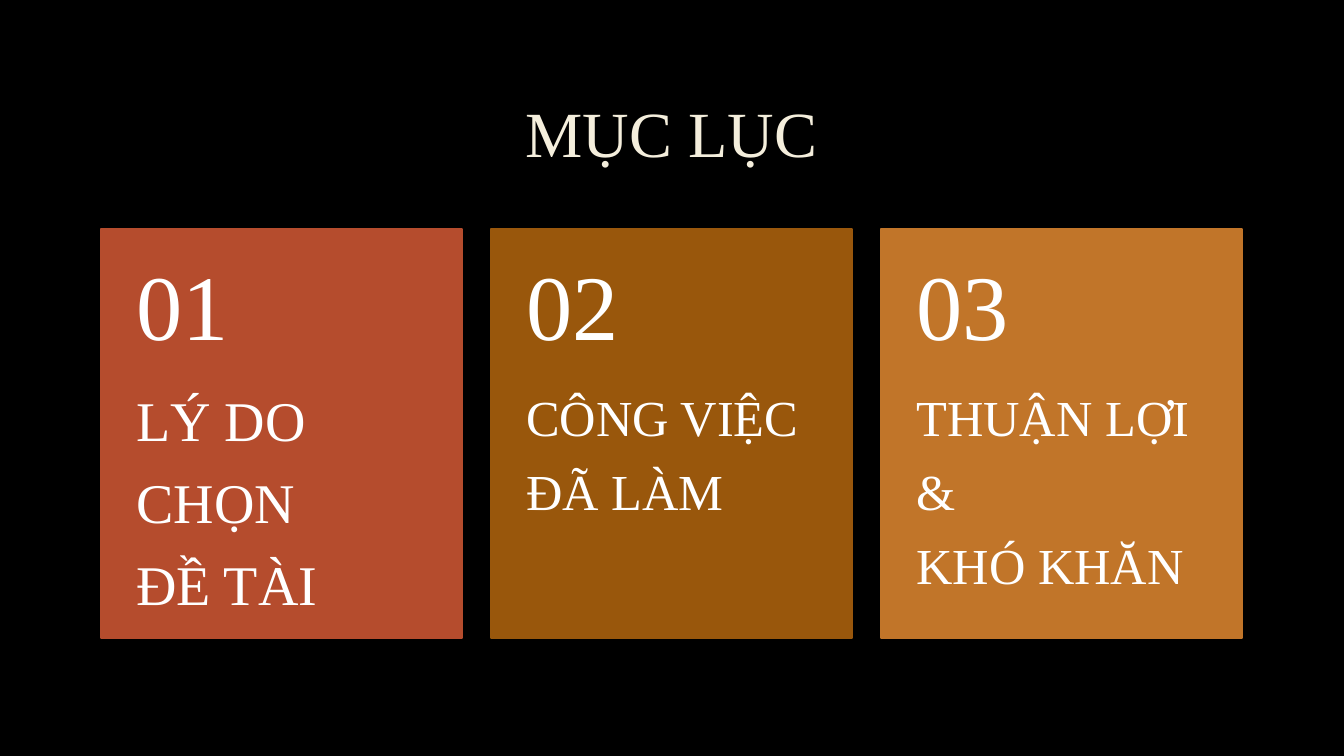
import pptx
import pptx.util
import pptx.dml.color
import pptx.enum.shapes
import pptx.enum.text

Pt = pptx.util.Pt
RGB = pptx.dml.color.RGBColor.from_string
ALIGN = pptx.enum.text.PP_ALIGN
ANCHOR = pptx.enum.text.MSO_ANCHOR

COLORS = {
    "background": "000000",
    "title": "F4EEDC",
    "text": "FFFFFF",
    "red": "B54C2D",
    "brown": "99570C",
    "orange": "C17529",
}
FONT = "Times New Roman"
CARDS = [
    ("01", ["LÝ DO", "CHỌN", "ĐỀ TÀI"], 40, "red"),
    ("02", ["CÔNG VIỆC", "ĐÃ LÀM"], 36, "brown"),
    ("03", ["THUẬN LỢI", "&", "KHÓ KHĂN"], 36, "orange"),
]


def add_text(shapes, lines, box, *, size, color="text", align=ALIGN.LEFT,
             anchor=ANCHOR.TOP, insets=(7.2, 3.6, 7.2, 3.6), space_after=0):
    sp = shapes.add_textbox(*map(Pt, box))
    tf = sp.text_frame
    tf.word_wrap = True
    tf.vertical_anchor = anchor
    tf.margin_left, tf.margin_top, tf.margin_right, tf.margin_bottom = map(Pt, insets)
    for i, line in enumerate(lines):
        p = tf.add_paragraph() if i else tf.paragraphs[0]
        p.alignment = align
        p.line_spacing = 0.9
        p.space_after = Pt(space_after)
        r = p.add_run()
        r.text = line
        r.font.name = FONT
        r.font.size = Pt(size)
        r.font.color.rgb = RGB(COLORS[color])
    return sp


def add_title(s, box):
    add_text(s.shapes, ["MỤC LỤC"], box, size=46, color="title",
             align=ALIGN.CENTER, anchor=ANCHOR.MIDDLE)


def add_card(s, box, number, lines, size, color):
    x, y, w, h = box
    number_h = h * 0.4
    shapes = s.shapes.add_group_shape().shapes
    sp = shapes.add_shape(pptx.enum.shapes.MSO_SHAPE.RECTANGLE, *map(Pt, box))
    sp.shadow.inherit = False
    sp.fill.solid()
    sp.fill.fore_color.rgb = RGB(COLORS[color])
    sp.line.color.rgb = RGB(COLORS[color])
    sp.line.width = Pt(1.25)
    add_text(shapes, lines, (x, y + number_h, w, h - number_h), size=size,
             insets=(25.4, 0, 25.4, 25.4), space_after=round(size * 0.39, 1))
    add_text(shapes, [number], (x, y, w, number_h), size=66,
             anchor=ANCHOR.MIDDLE, insets=(25.4, 12.7, 25.4, 12.7))


def add_cards(s, box, gap=20.8):
    x, y, w, h = box
    card_w = (w - gap * (len(CARDS) - 1)) / len(CARDS)
    for i, card in enumerate(CARDS):
        add_card(s, (x + i * (card_w + gap), y, card_w, h), *card)


def main():
    prs = pptx.Presentation()
    prs.slide_width, prs.slide_height = Pt(960), Pt(540)
    s = prs.slides.add_slide(prs.slide_layouts[6])
    s.background.fill.solid()
    s.background.fill.fore_color.rgb = RGB(COLORS["background"])
    add_title(s, (72, 48, 815, 99.5))
    add_cards(s, (72, 163.5, 815, 292.4))
    prs.save("out.pptx")


if __name__ == "__main__":
    main()
